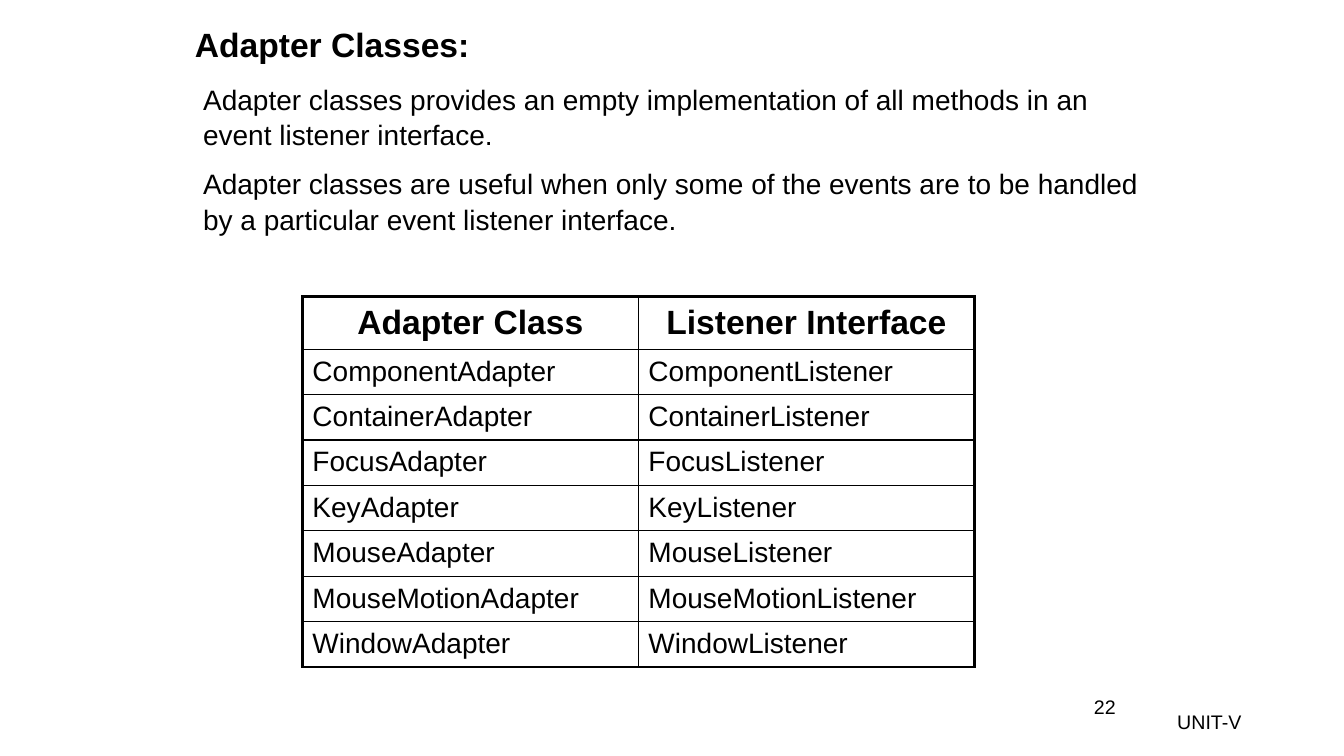
"""Build the Adapter Classes slide with its table of adapters and listeners."""
from dataclasses import dataclass

from lxml import etree
from pptx import Presentation
from pptx.dml.color import RGBColor
from pptx.enum.text import MSO_ANCHOR, MSO_AUTO_SIZE, PP_ALIGN
from pptx.oxml.ns import qn
from pptx.util import Pt

LEFT, CENTER, RIGHT = PP_ALIGN.LEFT, PP_ALIGN.CENTER, PP_ALIGN.RIGHT
TOP, MIDDLE = MSO_ANCHOR.TOP, MSO_ANCHOR.MIDDLE
NO_AUTOFIT = MSO_AUTO_SIZE.NONE


@dataclass(frozen=True)
class Theme:
    font: str = "Arial"
    ink: RGBColor = RGBColor(0, 0, 0)
    paper: RGBColor = RGBColor(255, 255, 255)
    heading: int = 24
    body: int = 20
    footer: int = 14
    spacing: float = 1.05
    outer: float = 2.25
    inner: float = 1


theme = Theme()


def write(tf, lines, size, align=LEFT, anchor=TOP, bold=False):
    tf.word_wrap = True
    tf.vertical_anchor = anchor
    tf.text = "\n".join(lines)
    for p in tf.paragraphs:
        p.alignment = align
        p.line_spacing = theme.spacing
        p.space_before = Pt(0)
        p.space_after = Pt(10 if len(lines) > 1 else 0)
        p.font.name = theme.font
        p.font.size = Pt(size)
        p.font.bold = bold
        p.font.color.rgb = theme.ink


def set_borders(cell, widths):
    tcPr = cell._tc.get_or_add_tcPr()
    for i, (side, width) in enumerate(widths.items()):
        ln = etree.Element(qn(f"a:ln{side}"), w=str(Pt(width)))
        fill = etree.SubElement(ln, qn("a:solidFill"))
        etree.SubElement(fill, qn("a:srgbClr"), val=str(theme.ink))
        tcPr.insert(i, ln)


prs = Presentation()
prs.slide_width, prs.slide_height = Pt(960), Pt(540)
s = prs.slides.add_slide(prs.slide_layouts[5])

title = s.shapes.title
title.left, title.top, title.width, title.height = Pt(132), Pt(12), Pt(252), Pt(36)
write(title.text_frame, ["Adapter Classes:"], theme.heading, bold=True)
title.text_frame.auto_size = NO_AUTOFIT

notes = [
    "Adapter classes provides an empty implementation of all methods in an event listener interface.",
    "Adapter classes are useful when only some of the events are to be handled "
    "by a particular event listener interface.",
]
texts = [
    ((138, 54, 690, 115), notes, theme.body, LEFT, TOP),
    ((636, 492, 168, 37), ["22"], theme.footer, RIGHT, TOP),
    ((678, 500.5, 216, 29), ["UNIT-V"], theme.footer, RIGHT, MIDDLE),
]
for box, lines, size, align, anchor in texts:
    tb = s.shapes.add_textbox(*map(Pt, box))
    write(tb.text_frame, lines, size, align, anchor)

events = ["Component", "Container", "Focus", "Key", "Mouse", "MouseMotion", "Window"]
rows = [("Adapter Class", "Listener Interface")]
rows += [(f"{event}Adapter", f"{event}Listener") for event in events]
last_row, last_col = len(rows) - 1, len(rows[0]) - 1

table = s.shapes.add_table(len(rows), len(rows[0]), Pt(216), Pt(212), Pt(480), Pt(256.5)).table
table.first_row = table.horz_banding = False
for i, row in enumerate(rows):
    header = i == 0
    table.rows[i].height = Pt(36 if header else 31.5)
    for j, text in enumerate(row):
        cell = table.cell(i, j)
        write(cell.text_frame, [text], theme.heading if header else theme.body,
              CENTER if header else LEFT, bold=header)
        cell.fill.solid()
        cell.fill.fore_color.rgb = theme.paper
        edges = {"L": j == 0, "R": j == last_col, "T": header, "B": i == last_row}
        set_borders(cell, {side: theme.outer if edge else theme.inner
                           for side, edge in edges.items()})

prs.save("out.pptx")
